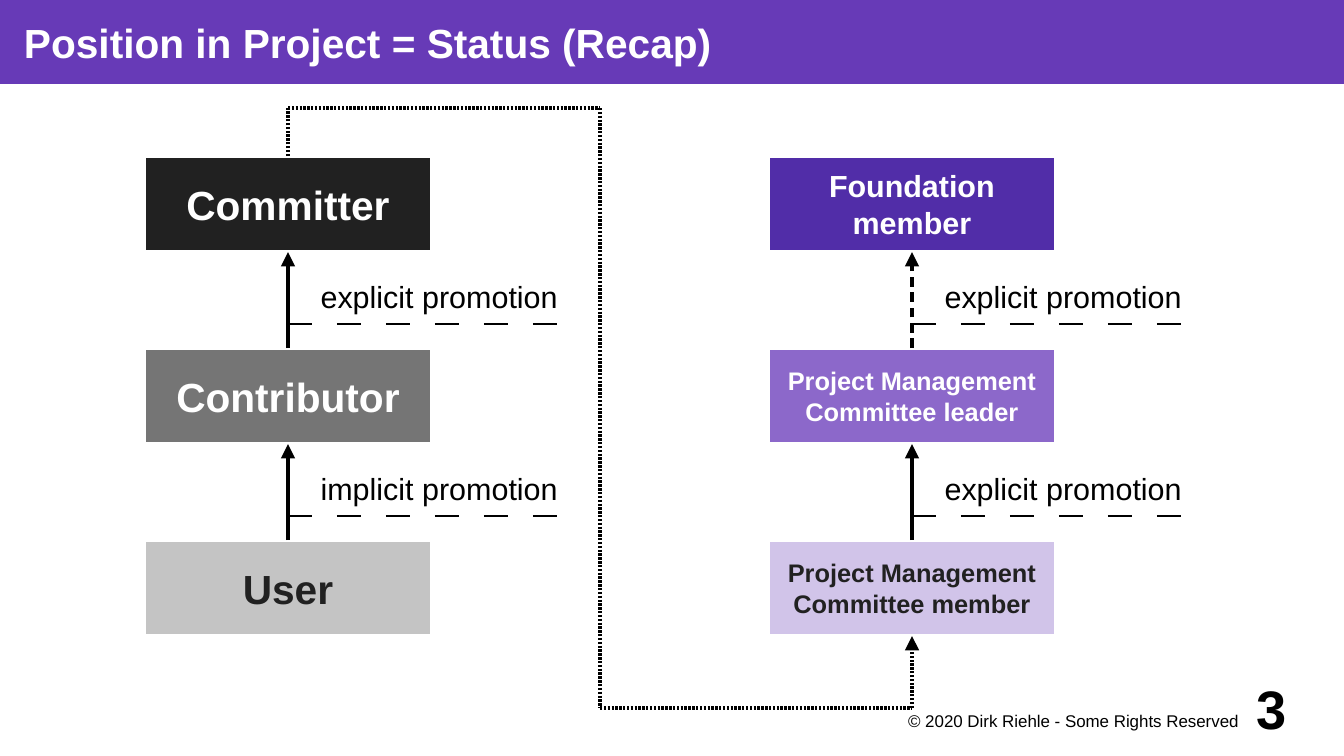
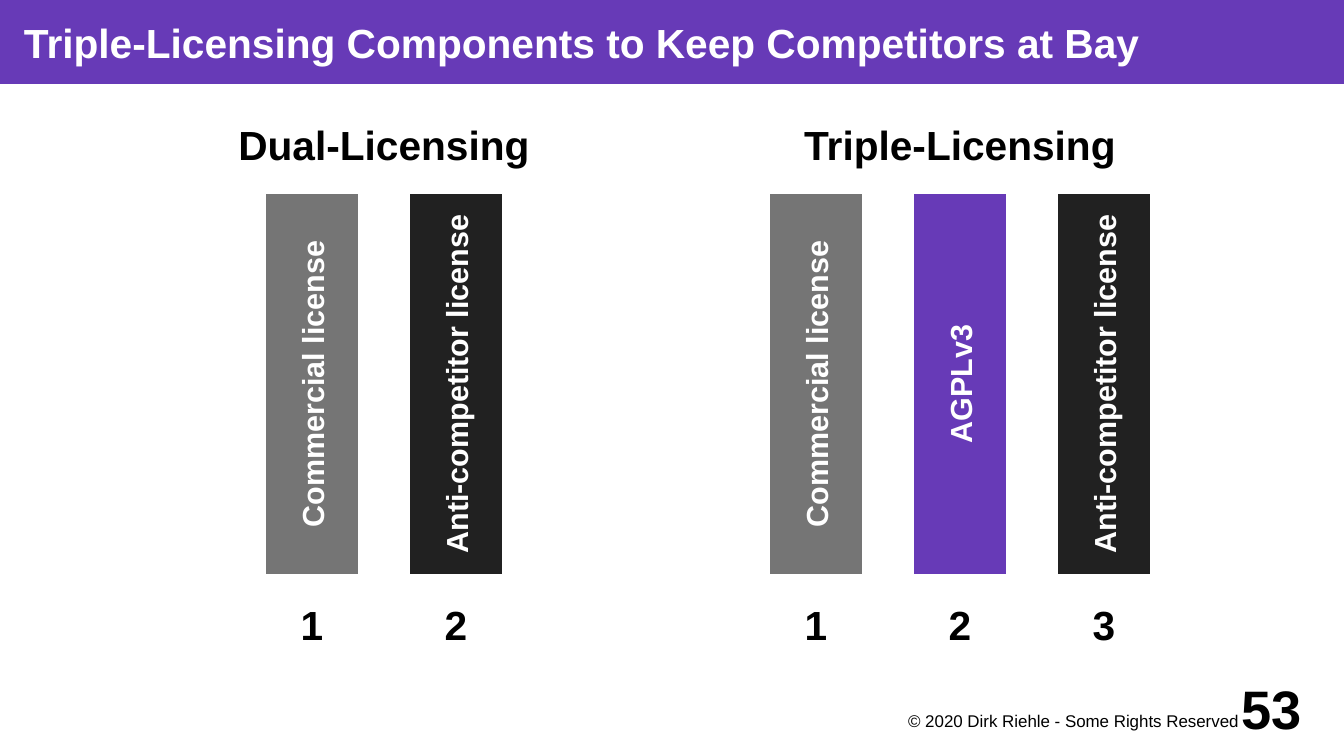
"""Build two slides on project status and on licensing models."""
import pptx
import pptx.dml.color
import pptx.enum.shapes
import pptx.enum.text
import pptx.oxml.ns
import pptx.util
from lxml import etree

Cm = pptx.util.Cm
Pt = pptx.util.Pt
ALIGN = pptx.enum.text.PP_ALIGN
ANCHOR = pptx.enum.text.MSO_ANCHOR
RECT = pptx.enum.shapes.MSO_SHAPE.RECTANGLE
STRAIGHT = pptx.enum.shapes.MSO_CONNECTOR.STRAIGHT

FONT = "Arial"
WHITE, BLACK = "FFFFFF", "000000"
PURPLE, DARK, GREY = "673AB7", "212121", "757575"
SLIDE_W, SLIDE_H = 28, 15.75
TITLE_H = 1.75
THICK, THIN = 2.83, 1.45
DOTTED, DASHED, LONG_DASHED = (50, 30), (200, 120), (1000, 1000)

BOX_W, BOX_H = 6, 2
BOX_TOP, BOX_STEP = 3.25, 4
BAR_W, BAR_H, BAR_TOP, BAR_STEP = 2, 8, 4, 3


def paint(fill, color):
    """Make a fill solid in the given hex colour."""
    fill.solid()
    fill.fore_color.rgb = pptx.dml.color.RGBColor.from_string(color)


def write(sp, text, size=18, color=BLACK, bold=False, align=ALIGN.CENTER,
          anchor=ANCHOR.MIDDLE, insets=(0.2, 0.2, 0.2, 0.2)):
    """Put formatted text into a shape, one paragraph per line."""
    tf = sp.text_frame
    tf.word_wrap = True
    tf.auto_size = pptx.enum.text.MSO_AUTO_SIZE.NONE
    tf.vertical_anchor = anchor
    tf.margin_left, tf.margin_top, tf.margin_right, tf.margin_bottom = map(Cm, insets)
    tf.text = text
    for p in tf.paragraphs:
        p.alignment = align
        font = p.runs[0].font
        font.name, font.size, font.bold = FONT, Pt(size), bold
        paint(font.fill, color)


def add_label(slide, text, x, y, w, h, **fmt):
    """Add a text box."""
    write(slide.shapes.add_textbox(Cm(x), Cm(y), Cm(w), Cm(h)), text, **fmt)


def add_box(slide, text, x, y, w, h, fill, **fmt):
    """Add a filled rectangle with a white outline and bold text."""
    sp = slide.shapes.add_shape(RECT, Cm(x), Cm(y), Cm(w), Cm(h))
    sp.shadow.inherit = False
    paint(sp.fill, fill)
    paint(sp.line.fill, WHITE)
    sp.line.width = Pt(THICK)
    write(sp, text, bold=True, **fmt)
    return sp


def add_line(slide, start, end, width=THICK, dash=None, arrow=False):
    """Add a straight black line with an optional dash pattern and arrowhead."""
    line = slide.shapes.add_connector(STRAIGHT, *map(Cm, (*start, *end)))
    line.line.width = Pt(width)
    paint(line.line.fill, BLACK)
    qn = pptx.oxml.ns.qn
    ln = line.line._get_or_add_ln()
    if dash:
        on, off = dash
        etree.SubElement(etree.SubElement(ln, qn("a:custDash")), qn("a:ds"),
                         d=str(on * 1000), sp=str(off * 1000))
    if arrow:
        etree.SubElement(ln, qn("a:tailEnd"), type="triangle")
    etree.SubElement(line._element.spPr, qn("a:effectLst"))
    return line


def add_slide(prs, title, number):
    """Add a slide with the title band, copyright line and page number."""
    slide = prs.slides.add_slide(prs.slide_layouts[5])
    sp = slide.shapes.title
    sp.left, sp.top, sp.width, sp.height = map(Cm, (0, 0, SLIDE_W, TITLE_H))
    paint(sp.fill, PURPLE)
    write(sp, title, size=24, color=WHITE, bold=True, align=ALIGN.LEFT,
          insets=(0.5, 0, 0, 0))
    add_label(slide, "© 2020 Dirk Riehle - Some Rights Reserved", 18, 14.75, 8, 0.75,
              size=10, align=ALIGN.RIGHT, anchor=ANCHOR.TOP, insets=(0, 0.05, 0.2, 0))
    add_label(slide, str(number), 25.5, 14, 2, 1.5, size=32, bold=True,
              insets=(0, 0, 0, 0))
    return slide


def add_ladder(slide, x, ranks, promotions):
    """Stack rank boxes from the top and link each one to the box above."""
    boxes = [add_box(slide, text, x, BOX_TOP + i * BOX_STEP, BOX_W, BOX_H, fill,
                     size=size, color=color, insets=(0.25,) * 4)
             for i, (text, fill, size, color) in enumerate(ranks)]
    middle = x + BOX_W / 2
    for i, (promotion, dash) in enumerate(promotions):
        top = BOX_TOP + i * BOX_STEP + BOX_H
        arrow = add_line(slide, (middle, top + BOX_STEP - BOX_H), (middle, top),
                         dash=dash, arrow=True)
        arrow.begin_connect(boxes[i + 1], 0)
        arrow.end_connect(boxes[i], 2)
        add_line(slide, (middle, top + 1.5), (middle + 6, top + 1.5), THIN, LONG_DASHED)
        add_label(slide, promotion, middle, top, 6, 1.5, anchor=ANCHOR.BOTTOM,
                  insets=(0.5, 0.2, 0.2, 0.2))
    return boxes


def add_route(slide, first, last, points):
    """Draw a dotted route from the top of one box to the bottom of another."""
    lines = [add_line(slide, a, b, dash=DOTTED, arrow=b == points[-1])
             for a, b in zip(points, points[1:])]
    lines[0].begin_connect(first, 0)
    lines[-1].end_connect(last, 2)


def add_bars(slide, heading, heading_x, x, licenses):
    """Add a heading over a row of numbered bars with upward text."""
    add_label(slide, heading, heading_x, 2, 8, 2, size=24, bold=True)
    for i, (text, fill) in enumerate(licenses):
        left = x + i * BAR_STEP
        bar = add_box(slide, text, left + (BAR_W - BAR_H) / 2,
                      BAR_TOP + (BAR_H - BAR_W) / 2, BAR_H, BAR_W, fill, color=WHITE)
        bar.rotation = 270
        add_label(slide, str(i + 1), left, BAR_TOP + BAR_H, BAR_W, 2, size=24, bold=True)


def build_status(prs):
    """Build the slide on positions in a project."""
    slide = add_slide(prs, "Position in Project = Status (Recap)", 3)
    project = add_ladder(slide, 3, [
        ("Committer", DARK, 24, WHITE),
        ("Contributor", GREY, 24, WHITE),
        ("User", "C4C4C4", 24, DARK),
    ], [("explicit promotion", None), ("implicit promotion", None)])
    foundation = add_ladder(slide, 16, [
        ("Foundation\nmember", "512DA8", 18, WHITE),
        ("Project Management Committee leader", "8C68CA", 15, WHITE),
        ("Project Management\nCommittee member", "D1C4E9", 15, DARK),
    ], [("explicit promotion", DASHED), ("explicit promotion", None)])
    add_route(slide, project[0], foundation[-1],
              [(6, 3.25), (6, 2.25), (12.5, 2.25), (12.5, 14.75), (19, 14.75), (19, 13.25)])


def build_licensing(prs):
    """Build the slide on dual and triple licensing."""
    slide = add_slide(prs, "Triple-Licensing Components to Keep Competitors at Bay", 53)
    commercial = ("Commercial license", GREY)
    anti_competitor = ("Anti-competitor license", DARK)
    add_bars(slide, "Dual-Licensing", 4, 5.5, [commercial, anti_competitor])
    add_bars(slide, "Triple-Licensing", 16, 16,
             [commercial, ("AGPLv3", PURPLE), anti_competitor])


def main():
    """Create and save the presentation."""
    prs = pptx.Presentation()
    prs.slide_width, prs.slide_height = Cm(SLIDE_W), Cm(SLIDE_H)
    build_status(prs)
    build_licensing(prs)
    prs.save("out.pptx")


if __name__ == "__main__":
    main()
